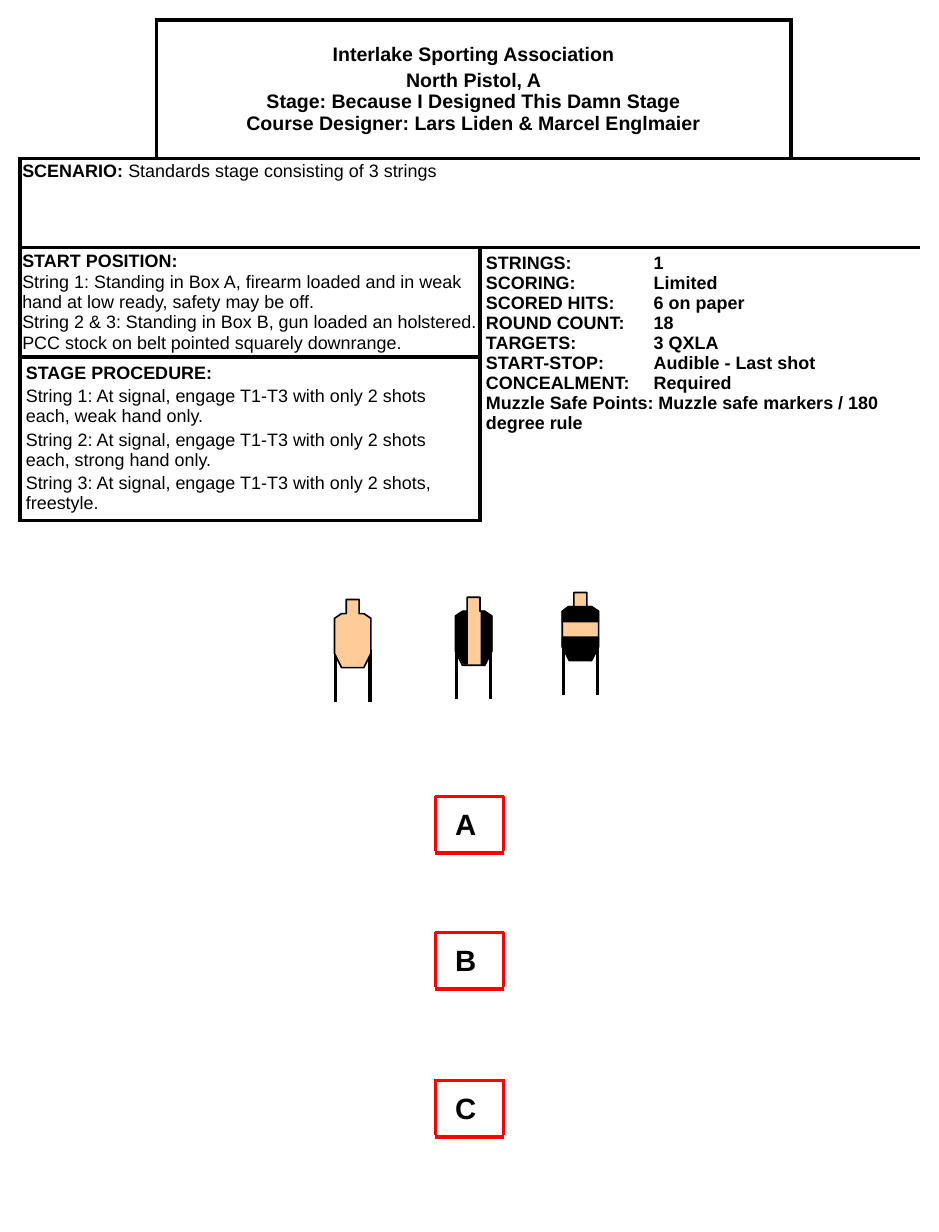
from copy import deepcopy
from dataclasses import dataclass

from lxml.etree import SubElement
from pptx import Presentation
from pptx.dml.color import RGBColor
from pptx.enum.shapes import MSO_CONNECTOR
from pptx.enum.text import MSO_ANCHOR, MSO_AUTO_SIZE, PP_ALIGN
from pptx.oxml.ns import qn
from pptx.util import Pt

PX = 9144  # 100 px to the inch
FONT = "Arial"
BLACK, WHITE, RED, TAN = "000000", "FFFFFF", "FF0000", "FFCC99"
NO_GRID_STYLE = "{2D5ABB26-0587-4C30-8999-92F81FD0307C}"
BORDER = Pt(2.25)
VALUE_TAB = 143


@dataclass(frozen=True)
class Span:
    text: str
    bold: bool = False


@dataclass(frozen=True)
class CellArea:
    row: int
    column: int
    rows: int = 1
    columns: int = 1
    paragraphs: tuple[tuple[Span, ...], ...] = ()
    size: float = 11
    inset: tuple[int, int] = (5, 5)
    space_before: float = 0
    line_spacing: float = 1
    centered: bool = False
    edges: str = "LRTB"


@dataclass(frozen=True)
class Patch:
    points: tuple[tuple[int, int], ...]
    color: str
    line_width: float


@dataclass(frozen=True)
class Target:
    left: int
    top: int
    patches: tuple[Patch, ...] = ()


@dataclass(frozen=True)
class ShootingBox:
    label: str
    top: int


def lines(*texts: str, bold: bool = False) -> tuple[tuple[Span, ...], ...]:
    return tuple((Span(text, bold),) for text in texts)


AREAS = (
    CellArea(0, 0, edges="RB"),
    CellArea(0, 1, columns=2, size=12, space_before=2.4, centered=True, paragraphs=lines(
        "Interlake Sporting Association",
        "North Pistol, A\nStage: Because I Designed This Damn Stage\n"
        "Course Designer: Lars Liden & Marcel Englmaier", bold=True)),
    CellArea(0, 3, edges="LB"),
    CellArea(1, 0, columns=4, inset=(2, 4), line_spacing=0.9, paragraphs=(
        (Span("SCENARIO: ", True), Span("Standards stage consisting of 3 strings")),)),
    CellArea(2, 0, columns=2, inset=(2, 3), space_before=0.55, paragraphs=lines(
        "START POSITION:", bold=True) + lines(
        "String 1: Standing in Box A, firearm loaded and in weak hand at low ready, "
        "safety may be off.",
        "String 2 & 3: Standing in Box B, gun loaded an holstered.",
        "PCC stock on belt pointed squarely downrange.")),
    CellArea(2, 2, rows=2, columns=2, paragraphs=lines(
        "STRINGS:\t1", "SCORING:\tLimited", "SCORED HITS:\t6 on paper",
        "ROUND COUNT:\t18", "TARGETS:\t3 QXLA", "START-STOP:\tAudible - Last shot",
        "CONCEALMENT:\tRequired",
        "Muzzle Safe Points: Muzzle safe markers / 180 degree rule", bold=True)),
    CellArea(3, 0, columns=2, space_before=2.2, paragraphs=lines(
        "STAGE PROCEDURE:", bold=True) + lines(
        "String 1: At signal, engage T1-T3 with only 2 shots each, weak hand only.",
        "String 2: At signal, engage T1-T3 with only 2 shots each, strong hand only.",
        "String 3: At signal, engage T1-T3 with only 2 shots, freestyle.")),
)
COLUMNS = (116, 276, 265, 110)
ROWS = (118, 76, 93, 139)

# Outlines are relative to the top left of a target
BODY = Patch(((10, 0), (21, 0), (21, 12), (25, 12), (31, 16), (31, 46), (25, 58),
              (6, 58), (0, 46), (0, 16), (6, 12), (10, 12)), TAN, 1)
RIGHT_SIDE = Patch(((22, 12), (22, 58), (25, 58), (31, 46), (31, 16), (25, 12)), BLACK, 0)
LEFT_SIDE = Patch(((10, 12), (10, 57), (7, 57), (1, 46), (1, 16), (7, 12)), BLACK, 0)
CHEST = Patch(((5, 12), (25, 12), (31, 16), (31, 25), (0, 25), (0, 16)), BLACK, 0.75)
WAIST = Patch(((25, 58), (31, 47), (31, 38), (0, 38), (0, 47), (6, 57)), BLACK, 0.75)
TARGETS = (
    Target(285, 511),
    Target(388, 509, (RIGHT_SIDE, LEFT_SIDE)),
    Target(479, 505, (CHEST, WAIST)),
)
BOXES = (ShootingBox("A", 679), ShootingBox("B", 795), ShootingBox("C", 921))


def rgb(color: str) -> RGBColor:
    return RGBColor.from_string(color)


def format_font(font, size: float, bold: bool) -> None:
    font.name, font.size, font.bold = FONT, Pt(size), bold
    font.color.rgb = rgb(BLACK)


def set_borders(cell, edges: str) -> None:
    properties = cell._tc.get_or_add_tcPr()
    for index, side in enumerate("LRTB"):
        border = SubElement(properties, qn(f"a:ln{side}"), w=str(BORDER))
        properties.insert(index, border)
        if side in edges:
            fill = SubElement(border, qn("a:solidFill"))
            SubElement(fill, qn("a:srgbClr"), val=BLACK)
        else:
            SubElement(border, qn("a:noFill"))


def fill_paragraph(paragraph, spans: tuple[Span, ...], area: CellArea, first: bool) -> None:
    paragraph.alignment = PP_ALIGN.CENTER if area.centered else PP_ALIGN.LEFT
    paragraph.line_spacing = area.line_spacing
    paragraph.space_before = Pt(0 if first else area.space_before)
    if any("\t" in span.text for span in spans):
        tabs = SubElement(paragraph._p.get_or_add_pPr(), qn("a:tabLst"))
        SubElement(tabs, qn("a:tab"), pos=str(VALUE_TAB * PX), algn="l")
    if len(spans) == 1:
        paragraph.text = spans[0].text
        for run in paragraph.runs:
            format_font(run.font, area.size, spans[0].bold)
    else:
        for span in spans:
            run = paragraph.add_run()
            run.text = span.text
            format_font(run.font, area.size, span.bold)
    # Line breaks take the size of the text around them
    for line_break in paragraph._p.findall(qn("a:br")):
        line_break.append(deepcopy(paragraph.runs[0]._r.rPr))


def draw_area(table, area: CellArea) -> None:
    last_row, last_column = area.row + area.rows - 1, area.column + area.columns - 1
    cell = table.cell(area.row, area.column)
    if area.rows * area.columns > 1:
        cell.merge(table.cell(last_row, last_column))
    for row in range(area.row, last_row + 1):
        for column in range(area.column, last_column + 1):
            part = table.cell(row, column)
            part.fill.solid()
            part.fill.fore_color.rgb = rgb(WHITE)
            outer = {"L": column == area.column, "R": column == last_column,
                     "T": row == area.row, "B": row == last_row}
            set_borders(part, "".join(side for side in area.edges if outer[side]))
    cell.margin_left = cell.margin_right = area.inset[0] * PX
    cell.margin_top = cell.margin_bottom = area.inset[1] * PX
    cell.vertical_anchor = MSO_ANCHOR.MIDDLE if area.centered else MSO_ANCHOR.TOP
    for index, spans in enumerate(area.paragraphs):
        frame = cell.text_frame
        paragraph = frame.add_paragraph() if index else frame.paragraphs[0]
        fill_paragraph(paragraph, spans, area, index == 0)


def draw_table(page) -> None:
    table = page.shapes.add_table(len(ROWS), len(COLUMNS), 17 * PX, 17 * PX,
                                  sum(COLUMNS) * PX, sum(ROWS) * PX).table
    table.first_row = table.horz_banding = False
    table._tbl.tblPr.find(qn("a:tableStyleId")).text = NO_GRID_STYLE
    for column, width in zip(table.columns, COLUMNS):
        column.width = width * PX
    for row, height in zip(table.rows, ROWS):
        row.height = height * PX
    for area in AREAS:
        draw_area(table, area)


def draw_line(shapes, x1: int, y1: int, x2: int, y2: int, color: str, width: float) -> None:
    line = shapes.add_connector(MSO_CONNECTOR.STRAIGHT, x1 * PX, y1 * PX, x2 * PX, y2 * PX)
    line.line.color.rgb, line.line.width = rgb(color), Pt(width)
    SubElement(line._element.spPr, qn("a:effectLst"))


def draw_target(page, target: Target) -> None:
    shapes = page.shapes.add_group_shape().shapes
    for x in (target.left + 1, target.left + 30):
        draw_line(shapes, x, target.top + 43, x, target.top + 87, BLACK, 2.25)
    for patch in (BODY, *target.patches):
        points = [(target.left + x, target.top + y) for x, y in patch.points]
        builder = shapes.build_freeform(*points[0], scale=PX)
        builder.add_line_segments(points[1:], close=True)
        shape = builder.convert_to_shape()
        shape.shadow.inherit = False
        shape.fill.solid()
        shape.fill.fore_color.rgb = rgb(patch.color)
        shape.line.color.rgb, shape.line.width = rgb(BLACK), Pt(patch.line_width)


def draw_box(page, box: ShootingBox) -> None:
    shapes = page.shapes.add_group_shape().shapes
    left, right = 371, 429
    for y in (box.top, box.top + 48):
        draw_line(shapes, right, y, left, y, RED, 2)
    for x in (left, right):
        draw_line(shapes, x, box.top - 1, x, box.top + 46, RED, 2)
    frame = shapes.add_textbox(378 * PX, (box.top + 3) * PX, 37 * PX, 40 * PX).text_frame
    frame.word_wrap, frame.auto_size = False, MSO_AUTO_SIZE.SHAPE_TO_FIT_TEXT
    frame.text = box.label
    format_font(frame.paragraphs[0].runs[0].font, 18, True)


def main() -> None:
    deck = Presentation()
    deck.slide_width, deck.slide_height = 800 * PX, 1050 * PX
    page = deck.slides.add_slide(deck.slide_layouts[6])
    draw_table(page)
    for target in TARGETS:
        draw_target(page, target)
    for box in BOXES:
        draw_box(page, box)
    deck.save("out.pptx")


if __name__ == "__main__":
    main()
